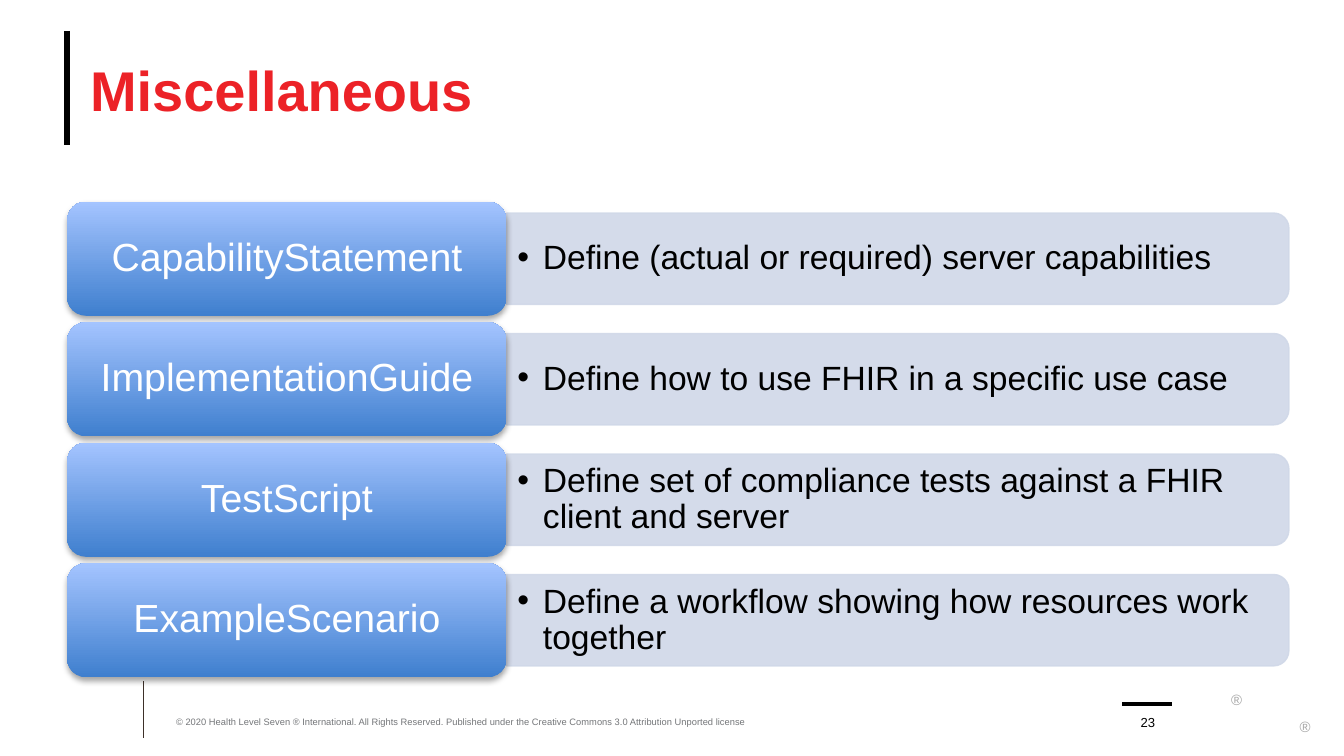
from dataclasses import dataclass
from typing import Any

from lxml import etree
from pptx import Presentation
from pptx.dml.color import RGBColor
from pptx.enum.shapes import MSO_CONNECTOR, MSO_SHAPE
from pptx.enum.text import MSO_ANCHOR, MSO_AUTO_SIZE, PP_ALIGN
from pptx.oxml.ns import qn
from pptx.util import Inches, Pt

STRAIGHT = MSO_CONNECTOR.STRAIGHT
ROUNDED, ROUNDED_TOP = MSO_SHAPE.ROUNDED_RECTANGLE, MSO_SHAPE.ROUND_2_SAME_RECTANGLE
TOP, MIDDLE, BOTTOM = MSO_ANCHOR.TOP, MSO_ANCHOR.MIDDLE, MSO_ANCHOR.BOTTOM
LEFT, CENTER = PP_ALIGN.LEFT, PP_ALIGN.CENTER

BLACK = RGBColor(0x00, 0x00, 0x00)
WHITE = RGBColor(0xFF, 0xFF, 0xFF)
RED = RGBColor(0xEC, 0x22, 0x27)
BROWN = RGBColor(0x3D, 0x30, 0x29)
GRAY = RGBColor(0x74, 0x76, 0x79)
LIGHT_GRAY = RGBColor(0xA6, 0xA6, 0xA6)
PALE_BLUE = RGBColor(0xD0, 0xD8, 0xE8)
DARK_BLUE = RGBColor(0x3F, 0x7F, 0xCE)
LIGHT_BLUE = RGBColor(0xA4, 0xC4, 0xFF)

# Row geometry in inches
ROW_TOP, ROW_PITCH = 1.5, 2.69 / 3
LABEL_LEFT, LABEL_WIDTH, LABEL_HEIGHT, LABEL_PAD = 0.5, 3.27, 0.85, 0.04
BAR_LEFT, BAR_WIDTH, BAR_HEIGHT = 3.77, 5.82, 0.68
TEXT_LEFT, TEXT_WIDTH, TEXT_HEIGHT = 3.78, 5.79, 0.62


@dataclass(frozen=True)
class Rule:
    x1: float
    y1: float
    x2: float
    y2: float
    color: RGBColor
    width: float


@dataclass(frozen=True)
class Caption:
    text: str
    place: tuple[float, float, float, float]
    size: float
    color: RGBColor
    align: Any = LEFT
    anchor: Any = BOTTOM
    insets: tuple[float, float, float, float] = (0, 0, 0, 0)
    wrap: bool = True


@dataclass(frozen=True)
class Row:
    resource: str
    purpose: str


RULES = [
    Rule(0.5, 0.23, 0.5, 1.08, BLACK, 3.25),
    Rule(1.07, 5.07, 1.07, 5.49, BROWN, 0.5),
    Rule(8.35, 5.24, 8.72, 5.24, BLACK, 2),
]
MARK_INSETS = (0, 0.04, 0, 0)
CAPTIONS = [
    Caption("®", (9.16, 5.1, 0.11, 0.09), 8, LIGHT_GRAY, LEFT, TOP, MARK_INSETS, False),
    Caption("®", (9.67, 5.3, 0.09, 0.09), 8, LIGHT_GRAY, LEFT, TOP, MARK_INSETS, False),
    Caption("© 2020 Health Level Seven ® International. All Rights Reserved. "
            "Published under the Creative Commons 3.0 Attribution Unported license",
            (1.31, 5.24, 4.95, 0.17), 5, GRAY),
    Caption("23", (8.39, 5.24, 0.3, 0.19), 7, BLACK, CENTER),
]
ROWS = [
    Row("CapabilityStatement", "Define (actual or required) server capabilities"),
    Row("ImplementationGuide", "Define how to use FHIR in a specific use case"),
    Row("TestScript", "Define set of compliance tests against a FHIR client and server"),
    Row("ExampleScenario", "Define a workflow showing how resources work together"),
]


def set_all(target: Any, values: dict[str, Any]) -> None:
    for name, value in values.items():
        setattr(target, name, value)


def write_text(shape: Any, text: str, size: float, color: RGBColor, align: Any = LEFT,
               anchor: Any = MIDDLE, insets: tuple = (0, 0, 0, 0),
               wrap: bool = True, bold: bool = False) -> Any:
    frame = shape.text_frame
    left, top, right, bottom = map(Inches, insets)
    set_all(frame, {"text": text, "word_wrap": wrap, "auto_size": MSO_AUTO_SIZE.NONE,
                    "vertical_anchor": anchor, "margin_left": left, "margin_top": top,
                    "margin_right": right, "margin_bottom": bottom})
    para = frame.paragraphs[0]
    para.alignment = align
    span = para.runs[0]
    set_all(span.font, {"name": "Arial", "size": Pt(size), "bold": bold})
    span.font.color.rgb = color
    return para


def add_rule(page: Any, rule: Rule) -> None:
    line = page.shapes.add_connector(
        STRAIGHT, *map(Inches, (rule.x1, rule.y1, rule.x2, rule.y2)))
    line.line.color.rgb = rule.color
    line.line.width = Pt(rule.width)
    etree.SubElement(line._element.spPr, qn("a:effectLst"))


def add_caption(page: Any, caption: Caption) -> None:
    box = page.shapes.add_textbox(*map(Inches, caption.place))
    write_text(box, caption.text, caption.size, caption.color, caption.align,
               caption.anchor, caption.insets, caption.wrap)


def add_bar(page: Any, middle: float) -> None:
    # The bar is a top-rounded shape turned so its round corners face right
    bar = page.shapes.add_shape(
        ROUNDED_TOP, Inches(BAR_LEFT + (BAR_WIDTH - BAR_HEIGHT) / 2),
        Inches(middle - BAR_WIDTH / 2), Inches(BAR_HEIGHT), Inches(BAR_WIDTH))
    bar.rotation = 90
    bar.shadow.inherit = False
    bar.fill.solid()
    bar.fill.fore_color.rgb = PALE_BLUE
    bar.line.color.rgb = PALE_BLUE
    bar.line.width = Pt(0.75)
    for color in bar._element.spPr.iter(qn("a:srgbClr")):
        etree.SubElement(color, qn("a:alpha"), val="90000")


def add_purpose(page: Any, text: str, middle: float) -> None:
    box = page.shapes.add_textbox(Inches(TEXT_LEFT), Inches(middle - TEXT_HEIGHT / 2),
                                  Inches(TEXT_WIDTH), Inches(TEXT_HEIGHT))
    para = write_text(box, text, 18, BLACK, insets=(0.07, 0.04, 0.07, 0.04))
    set_all(para, {"level": 1, "line_spacing": 0.9})
    properties = para._p.get_or_add_pPr()
    properties.set("marL", str(Inches(0.19)))
    properties.set("indent", str(-Inches(0.19)))
    etree.SubElement(properties, qn("a:buFont"), typeface="Arial")
    etree.SubElement(properties, qn("a:buChar"), char="•")
    set_all(para.font, {"name": "Arial", "size": Pt(18)})


def add_label(page: Any, text: str, top: float) -> None:
    label = page.shapes.add_shape(ROUNDED, *map(
        Inches, (LABEL_LEFT, top, LABEL_WIDTH, LABEL_HEIGHT)))
    label.fill.gradient()
    label.fill.gradient_angle = 90
    for stop, color in zip(label.fill.gradient_stops, (DARK_BLUE, LIGHT_BLUE)):
        stop.color.rgb = color
    label.line.fill.background()
    # Soft shadow below the label
    label.shadow.inherit = False
    effects = label._element.spPr.find(qn("a:effectLst"))
    shadow = etree.SubElement(effects, qn("a:outerShdw"), blurRad=str(Pt(3.1)),
                              dist=str(Pt(1.8)), dir="5400000", rotWithShape="0")
    color = etree.SubElement(shadow, qn("a:srgbClr"), val=str(BLACK))
    etree.SubElement(color, qn("a:alpha"), val="35000")
    # Text area inside the rounded corners
    box = page.shapes.add_textbox(*map(Inches, (
        LABEL_LEFT + LABEL_PAD, top + LABEL_PAD,
        LABEL_WIDTH - 2 * LABEL_PAD, LABEL_HEIGHT - 2 * LABEL_PAD)))
    para = write_text(box, text, 21, WHITE, CENTER, insets=(0.09, 0.04, 0.09, 0.04))
    para.line_spacing = 0.9


def main() -> None:
    deck = Presentation()
    width = Inches(10)
    set_all(deck, {"slide_width": width, "slide_height": width * 9 // 16})
    page = deck.slides.add_slide(deck.slide_layouts[5])

    # Title
    title = page.shapes.title
    set_all(title, {"left": Inches(0.67), "top": Inches(0.23),
                    "width": Inches(9), "height": Inches(0.86)})
    write_text(title, "Miscellaneous", 30, RED, bold=True)

    # Rules and footer
    for rule in RULES:
        add_rule(page, rule)
    for caption in CAPTIONS:
        add_caption(page, caption)

    # Resource rows
    for index, row in enumerate(ROWS):
        top = ROW_TOP + index * ROW_PITCH
        middle = top + LABEL_HEIGHT / 2
        add_bar(page, middle)
        add_purpose(page, row.purpose, middle)
        add_label(page, row.resource, top)

    deck.save("out.pptx")


if __name__ == "__main__":
    main()
